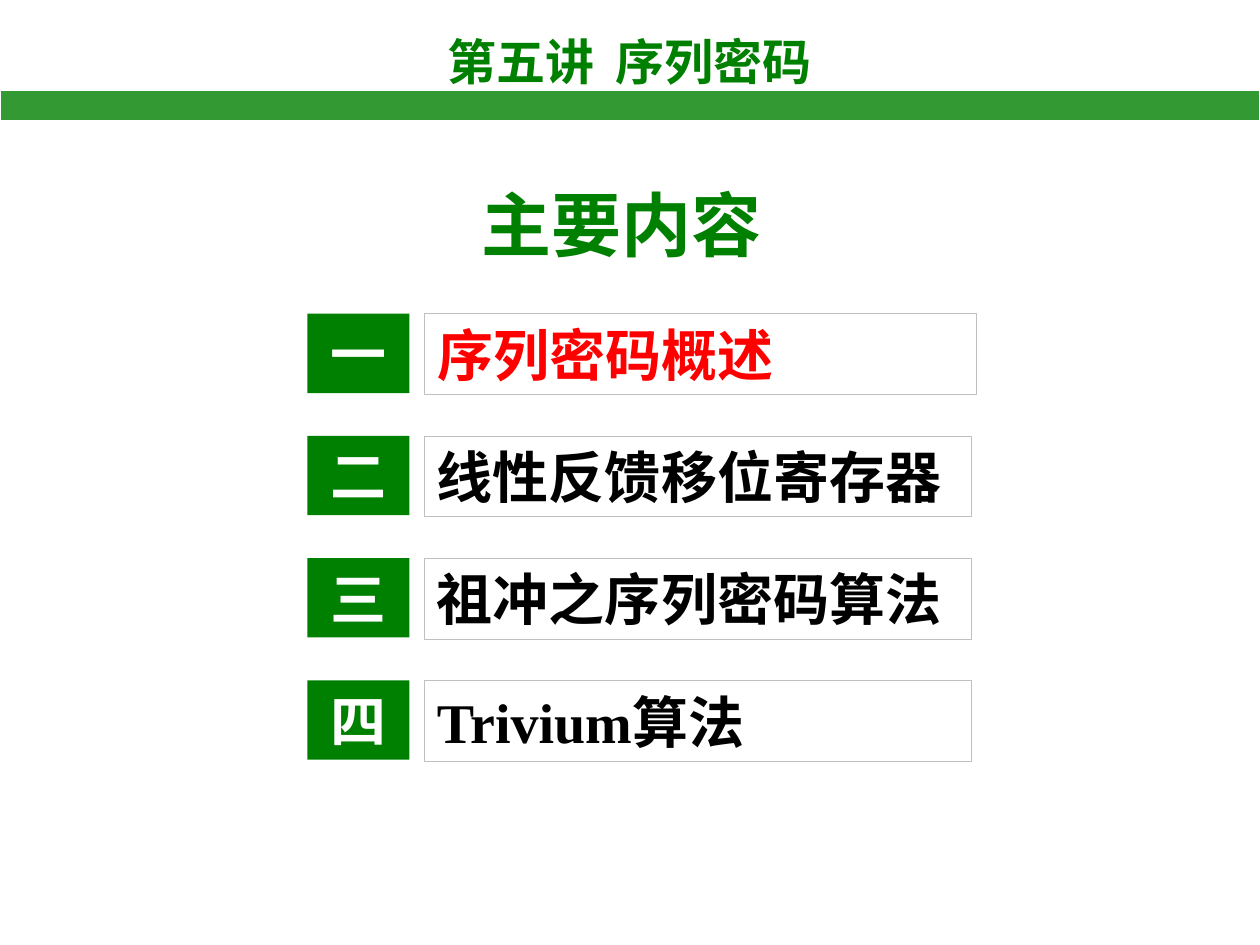
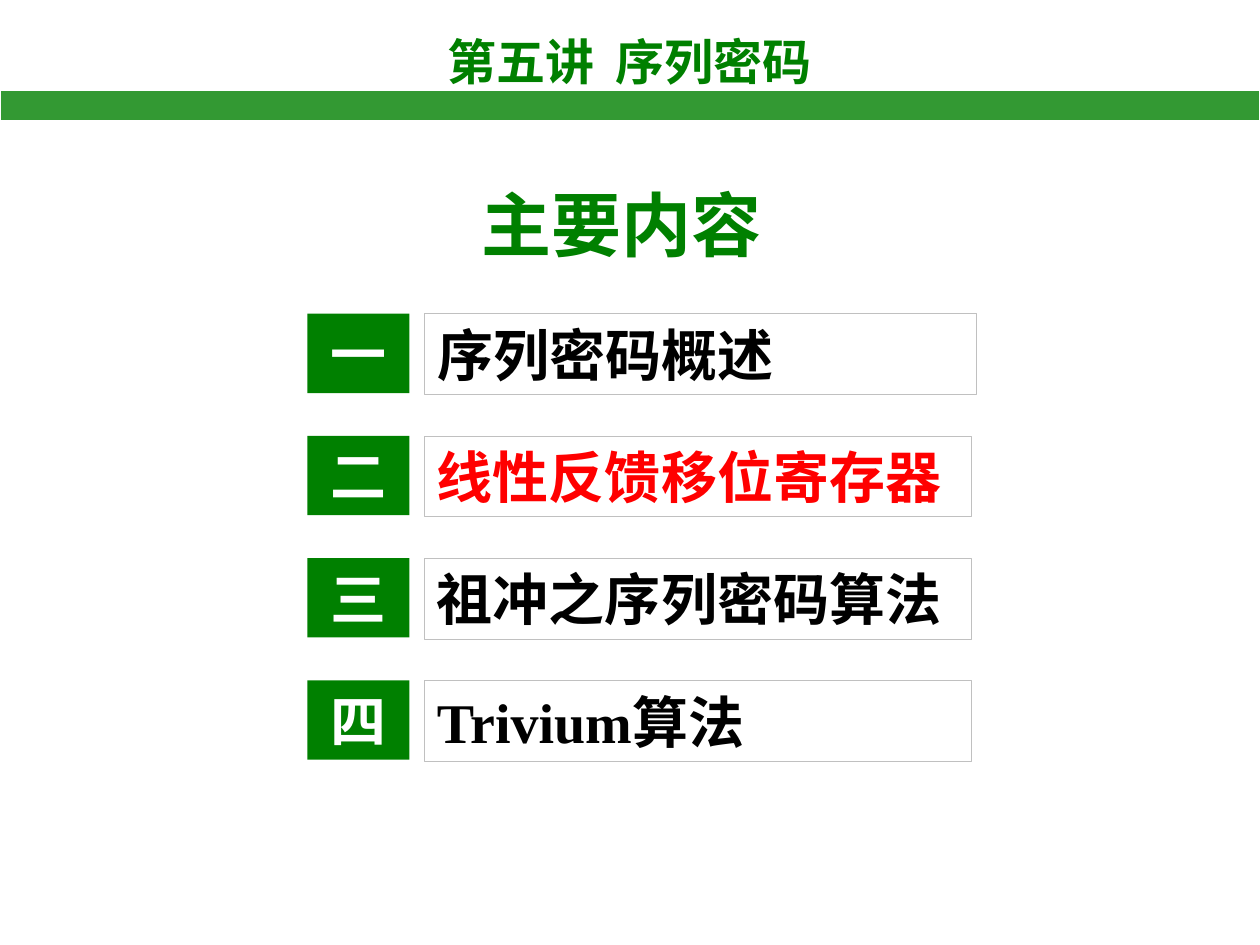
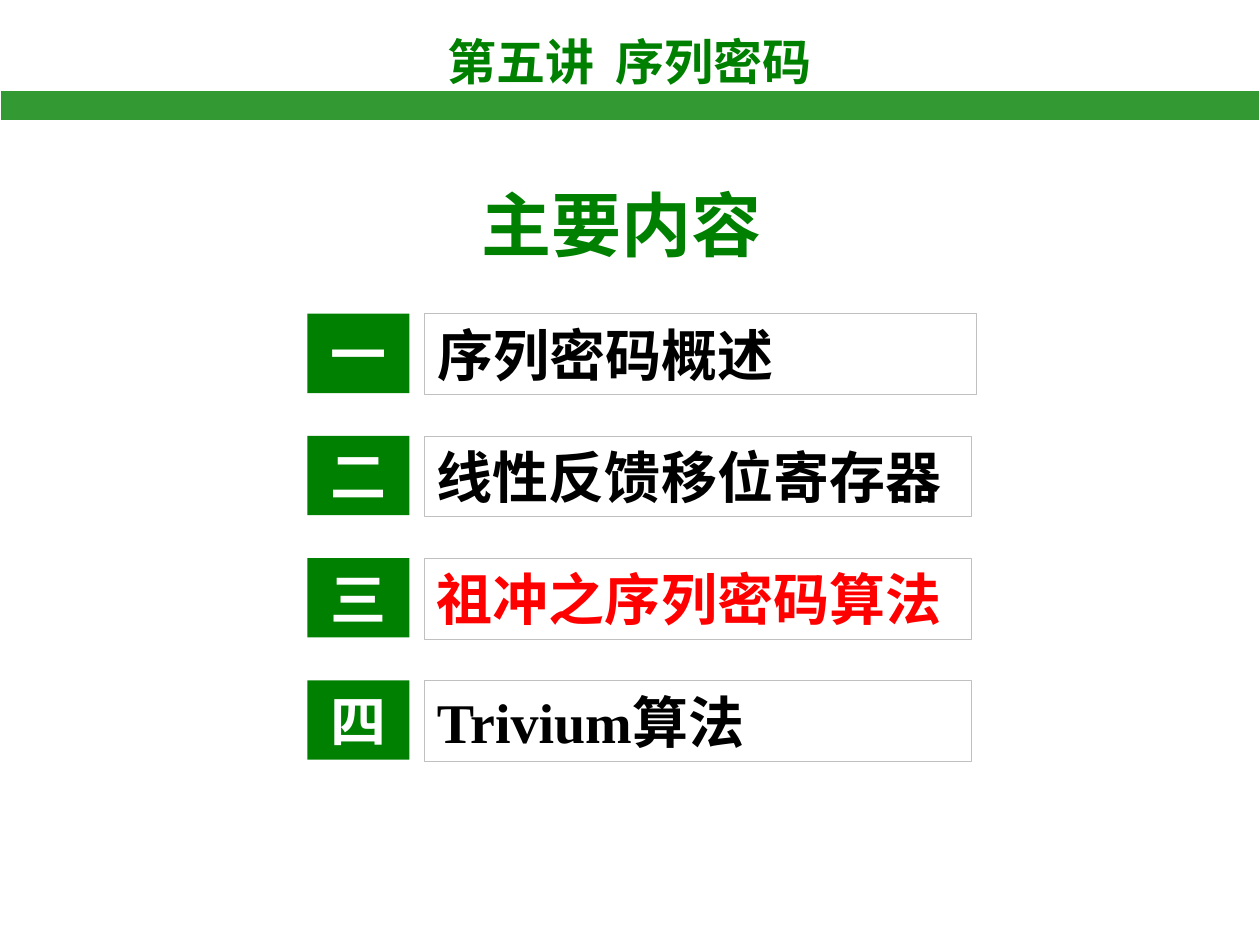
from lxml.etree import SubElement
from pptx import Presentation
from pptx.dml.color import RGBColor
from pptx.enum.shapes import MSO_SHAPE as Shape
from pptx.enum.text import MSO_ANCHOR as Anchor, MSO_AUTO_SIZE as AutoSize, PP_ALIGN as Align
from pptx.oxml.ns import qn
from pptx.util import Inches, Pt

GREEN = RGBColor(0x00, 0x80, 0x00)
BAND_GREEN = RGBColor(0x33, 0x99, 0x33)
RED = RGBColor(0xFF, 0x00, 0x00)
BLACK = RGBColor(0x00, 0x00, 0x00)
WHITE = RGBColor(0xFF, 0xFF, 0xFF)
SILVER = RGBColor(0xC0, 0xC0, 0xC0)

SANS = "Noto Sans CJK SC"
SERIF = "Times New Roman"

# Each chapter: number, box width, runs of (text, Latin font)
CHAPTERS = [
    ("一", 4.38, [("序列密码概述", SANS)]),
    ("二", 4.34, [("线性反馈移位寄存器", SERIF)]),
    ("三", 4.34, [("祖冲之序列密码算法", SANS)]),
    ("四", 4.34, [("Trivium", SERIF), ("算法", SANS)]),
]
CURRENT_CHAPTERS = [0, 1, 2]
CHAPTER_PITCH = 0.97


def inches(*lengths):
    return [Inches(length) for length in lengths]


def add_run(paragraph, text, size, color, latin=SANS, spacing=0):
    run = paragraph.add_run()
    run.text = text
    font = run.font
    font.size, font.bold, font.name = Pt(size), True, latin
    font.color.rgb = color
    properties = run._r.get_or_add_rPr()
    SubElement(properties, qn("a:ea")).set("typeface", SANS)
    if spacing:
        properties.set("spc", str(spacing * 100))


def add_box(shapes, kind, box, fill=None, line=None, line_width=0.25):
    shape = shapes.add_shape(kind, *inches(*box))
    shape.shadow.inherit = False
    if fill is None:
        shape.fill.background()
    else:
        shape.fill.solid()
        shape.fill.fore_color.rgb = fill
    if line is None:
        shape.line.fill.background()
    else:
        shape.line.color.rgb = line
        shape.line.width = Pt(line_width)
    shape.text_frame.vertical_anchor = Anchor.MIDDLE
    return shape


def move_header_to_layout(slide, layout):
    """Draw the lecture name and band, then share them through the layout."""
    for placeholder in list(layout.placeholders)[1:]:
        layout.shapes.element.remove(placeholder.element)

    lecture = slide.shapes.add_textbox(*inches(2.48, 0.2, 5.03, 0.57))
    frame = lecture.text_frame
    frame.word_wrap = True
    frame.auto_size = AutoSize.SHAPE_TO_FIT_TEXT
    paragraph = frame.paragraphs[0]
    paragraph.alignment = Align.CENTER
    add_run(paragraph, "第五讲", 28, GREEN)
    add_run(paragraph, " ", 28, GREEN, spacing=6)
    add_run(paragraph, "序列密码", 28, GREEN)

    band = add_box(slide.shapes, Shape.RECTANGLE, (0, 0.72, 10, 0.24), BAND_GREEN, WHITE, 0.75)
    for part in (lecture, band):
        layout.shapes.element.append(part.element)


def set_title(slide, left, top, width, height):
    title = slide.shapes.title
    title.left, title.top, title.width, title.height = inches(left, top, width, height)
    frame = title.text_frame
    frame.word_wrap = False
    frame.auto_size = AutoSize.SHAPE_TO_FIT_TEXT
    frame.vertical_anchor = Anchor.TOP
    paragraph = frame.paragraphs[0]
    paragraph.alignment = Align.LEFT
    add_run(paragraph, "主要内容", 40, GREEN)


def add_chapter(slide, left, top, chapter, color):
    number, width, runs = chapter
    shapes = slide.shapes.add_group_shape().shapes

    # Number tile
    tile = add_box(shapes, Shape.RECTANGLE, (left, top, 0.81, 0.63), GREEN)
    tile.text_frame.word_wrap = False
    paragraph = tile.text_frame.paragraphs[0]
    paragraph.alignment = Align.CENTER
    add_run(paragraph, number, 32, WHITE)

    # Chapter name
    name = add_box(shapes, Shape.ROUNDED_RECTANGLE, (left + 0.93, top, width, 0.64), line=SILVER)
    name.adjustments[0] = 0
    paragraph = name.text_frame.paragraphs[0]
    paragraph.alignment = Align.LEFT
    for text, latin in runs:
        add_run(paragraph, text, 32, color, latin)


def fill_agenda(slide, left, top, current):
    set_title(slide, left + 1.28, top, 2.59, 0.77)
    for index, chapter in enumerate(CHAPTERS):
        color = RED if index == current else BLACK
        add_chapter(slide, left, top + 1.1 + index * CHAPTER_PITCH, chapter, color)


def main():
    deck = Presentation()
    deck.slide_width, deck.slide_height = inches(10, 7.5)
    layout = deck.slide_layouts.get_by_name("Title Only")
    slides = [deck.slides.add_slide(layout) for _ in CURRENT_CHAPTERS]
    move_header_to_layout(slides[0], layout)
    for slide, current in zip(slides, CURRENT_CHAPTERS):
        fill_agenda(slide, 2.44, 1.39, current)
    deck.save("out.pptx")


if __name__ == "__main__":
    main()
